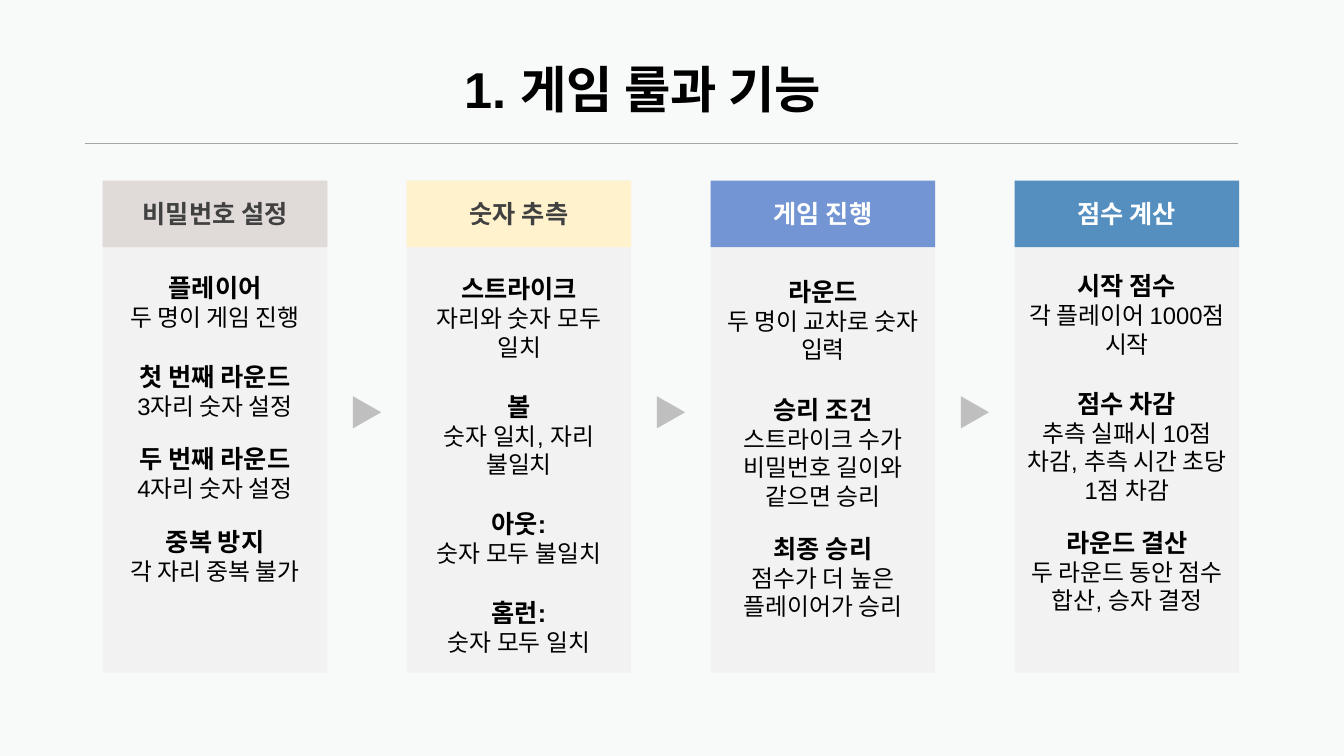
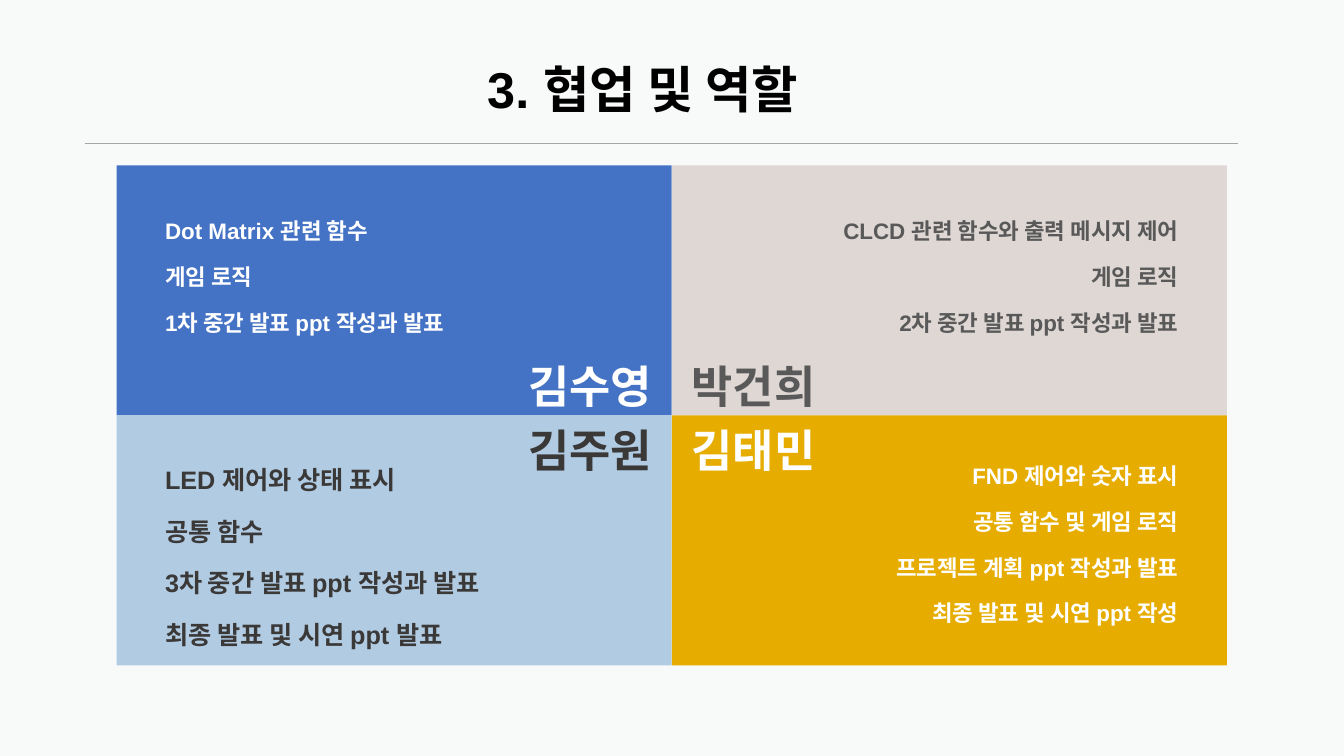
from dataclasses import dataclass

from lxml import etree
from pptx import Presentation
from pptx import util as u
from pptx.dml.color import RGBColor
from pptx.enum import shapes, text
from pptx.oxml.ns import qn
from pptx.util import Cm, Pt

# Shared style
PAPER = RGBColor(0xF8, 0xFA, 0xFA)
BLACK = RGBColor(0x00, 0x00, 0x00)
WHITE = RGBColor(0xFF, 0xFF, 0xFF)
RULE_GREY = RGBColor(0xA5, 0xA5, 0xA5)
CARD_GREY = RGBColor(0xF2, 0xF2, 0xF2)
ARROW_GREY = RGBColor(0xBF, 0xBF, 0xBF)
DARK = RGBColor(0x40, 0x40, 0x40)
MID_GREY = RGBColor(0x59, 0x59, 0x59)
CHARCOAL = RGBColor(0x3B, 0x38, 0x38)
STONE = RGBColor(0xE0, 0xDA, 0xD8)
CREAM = RGBColor(0xFF, 0xF2, 0xCC)
PERIWINKLE = RGBColor(0x73, 0x95, 0xD3)
STEEL = RGBColor(0x55, 0x8F, 0xBF)
BLUE = RGBColor(0x44, 0x72, 0xC4)
TAUPE = RGBColor(0xDE, 0xD7, 0xD4)
SKY = RGBColor(0xB0, 0xCB, 0xE2)
GOLD = RGBColor(0xE6, 0xAD, 0x00)

LATIN = "Arial"
KOREAN = "Noto Sans CJK KR"
LINE = 1.2  # line height relative to the text size
COMPARISON = 4  # layout with a title and four body placeholders

LEFT, CENTER, RIGHT = (text.PP_ALIGN.LEFT, text.PP_ALIGN.CENTER,
                       text.PP_ALIGN.RIGHT)
TOP, MIDDLE = text.MSO_ANCHOR.TOP, text.MSO_ANCHOR.MIDDLE


@dataclass(frozen=True)
class Box:
    left: float
    top: float
    width: float
    height: float

    def emu(self) -> tuple[u.Length, ...]:
        return Cm(self.left), Cm(self.top), Cm(self.width), Cm(self.height)


@dataclass(frozen=True)
class Line:
    words: str
    size: float
    color: RGBColor
    bold: bool = True
    gap: float = 0
    font: str = LATIN
    spacing: float = 1


@dataclass(frozen=True)
class Topic:
    heading: str
    detail: str
    gap: float = 0


@dataclass(frozen=True)
class Stage:
    name: str
    fill: RGBColor
    color: RGBColor
    text_top: float
    topics: tuple[Topic, ...]


@dataclass(frozen=True)
class Member:
    name: str
    fill: RGBColor
    color: RGBColor
    size: float
    duties: tuple[str, ...]
    font: str = KOREAN


WIDE, NARROW = 21.6, 16.8  # gaps between topics, in points

STAGES = (
    Stage("비밀번호 설정", STONE, DARK, 6.69, (
        Topic("플레이어", "두 명이 게임 진행"),
        Topic("첫 번째 라운드", "3자리 숫자 설정", WIDE),
        Topic("두 번째 라운드", "4자리 숫자 설정", NARROW),
        Topic("중복 방지", "각 자리 중복 불가", NARROW))),
    Stage("숫자 추측", CREAM, DARK, 6.72, (
        Topic("스트라이크", "자리와 숫자 모두 일치"),
        Topic("볼", "숫자 일치, 자리 불일치", WIDE),
        Topic("아웃:", "숫자 모두 불일치", WIDE),
        Topic("홈런:", "숫자 모두 일치", WIDE))),
    Stage("게임 진행", PERIWINKLE, WHITE, 6.79, (
        Topic("라운드", "두 명이 교차로 숫자 입력"),
        Topic("승리 조건", "스트라이크 수가 비밀번호 길이와 같으면 승리", WIDE),
        Topic("최종 승리", "점수가 더 높은 플레이어가 승리", NARROW))),
    Stage("점수 계산", STEEL, WHITE, 6.64, (
        Topic("시작 점수", "각 플레이어 1000점 시작"),
        Topic("점수 차감", "추측 실패시 10점 차감, 추측 시간 초당 1점 차감", WIDE),
        Topic("라운드 결산", "두 라운드 동안 점수 합산, 승자 결정", NARROW))),
)

MEMBERS = (
    Member("김수영", BLUE, WHITE, 16, (
        "Dot Matrix 관련 함수", "게임 로직", "1차 중간 발표 ppt 작성과 발표")),
    Member("박건희", TAUPE, MID_GREY, 16, (
        "CLCD 관련 함수와 출력 메시지 제어", "게임 로직",
        "2차 중간 발표 ppt 작성과 발표")),
    Member("김주원", SKY, CHARCOAL, 18, (
        "LED 제어와 상태 표시", "공통 함수", "3차 중간 발표 ppt 작성과 발표",
        "최종 발표 및 시연 ppt 발표"), LATIN),
    Member("김태민", GOLD, WHITE, 16, (
        "FND 제어와 숫자 표시", "공통 함수 및 게임 로직",
        "프로젝트 계획 ppt 작성과 발표", "최종 발표 및 시연 ppt 작성")),
)


def write(shape, lines: list[Line], align, anchor=TOP) -> None:
    """Fill a shape with one formatted paragraph per line."""
    frame = shape.text_frame
    frame.word_wrap = True
    frame.auto_size = text.MSO_AUTO_SIZE.NONE
    frame.vertical_anchor = anchor
    frame.margin_left = frame.margin_right = Cm(0.25)
    frame.margin_top = Pt(5) if anchor == TOP else Cm(0.13)
    frame.margin_bottom = Cm(0.13)
    frame.text = "\n".join(line.words for line in lines)
    for paragraph, line in zip(frame.paragraphs, lines):
        paragraph.alignment = align
        paragraph.line_spacing = Pt(line.size * LINE * line.spacing)
        paragraph.space_before, paragraph.space_after = Pt(line.gap), Pt(0)
        for run in paragraph.runs:
            font = run.font
            font.name, font.size, font.bold = line.font, Pt(line.size), line.bold
            font.color.rgb = line.color
            # Korean glyphs take the East Asian font
            east_asian = etree.Element(qn("a:ea"), typeface=KOREAN)
            run._r.rPr.find(qn("a:latin")).addnext(east_asian)


def place(shape, box: Box) -> None:
    shape.left, shape.top, shape.width, shape.height = box.emu()


def add_block(slide, box: Box, fill: RGBColor,
              kind=shapes.MSO_SHAPE.RECTANGLE):
    block = slide.shapes.add_shape(kind, *box.emu())
    block.shadow.inherit = False
    block.fill.solid()
    block.fill.fore_color.rgb = fill
    block.line.fill.background()
    return block


def fill_body(slide, index: int, box: Box, lines: list[Line], align) -> None:
    """Place a body placeholder in front, without bullets."""
    body = slide.placeholders[index]
    place(body, box)
    write(body, lines, align)
    for paragraph in body.text_frame.paragraphs:
        properties = paragraph._p.get_or_add_pPr()
        properties.set("marL", "0")
        properties.set("indent", "0")
        etree.SubElement(properties, qn("a:buNone"))
    body.element.getparent().append(body.element)


def add_titled_slide(deck, heading: str):
    slide = deck.slides.add_slide(deck.slide_layouts[COMPARISON])
    place(slide.shapes.title, Box(1.83, 1.22, 28.73, 2.16))
    write(slide.shapes.title, [Line(heading, 36, BLACK, spacing=0.9)],
          CENTER, MIDDLE)
    rule = slide.shapes.add_connector(
        shapes.MSO_CONNECTOR.STRAIGHT, Cm(2.13), Cm(3.61), Cm(31.19), Cm(3.61))
    rule.line.color.rgb = RULE_GREY
    rule.line.width = Pt(1)
    etree.SubElement(rule._element.spPr, qn("a:effectLst"))
    return slide


def build_rules(deck) -> None:
    slide = add_titled_slide(deck, "1. 게임 룰과 기능")
    left, top, width, height = 2.59, 4.55, 5.66, 12.4
    header_height, pitch = 1.68, 7.66
    arrow_width, arrow_height, arrow_middle = 0.81, 0.71, 10.39
    for index, stage in enumerate(STAGES):
        x = left + index * pitch
        # Card and its header
        add_block(slide, Box(x, top, width, height), CARD_GREY)
        header = add_block(slide, Box(x, top, width, header_height), stage.fill)
        write(header, [Line(stage.name, 18, stage.color, font=KOREAN)],
              CENTER, MIDDLE)
        # Topics
        lines = []
        for topic in stage.topics:
            lines += [Line(topic.heading, 18, BLACK, gap=topic.gap),
                      Line(topic.detail, 17, BLACK, bold=False)]
        fill_body(slide, index + 1,
                  Box(x, stage.text_top, width, top + height - stage.text_top),
                  lines, CENTER)
        # Arrow in the gap before this card
        if index:
            middle = x - (pitch - width) / 2
            arrow = add_block(
                slide, Box(middle - arrow_width / 2,
                           arrow_middle - arrow_height / 2,
                           arrow_width, arrow_height),
                ARROW_GREY, shapes.MSO_SHAPE.ISOSCELES_TRIANGLE)
            arrow.rotation = 90


def build_roles(deck) -> None:
    slide = add_titled_slide(deck, "3. 협업 및 역할")
    left, top, width, height = 2.94, 4.17, 13.99, 6.3
    inset, name_gap, name_width, name_height = 0.97, 0.25, 4.37, 1.6
    center_x, center_y = left + width, top + height
    for index, member in enumerate(MEMBERS):
        row, column = divmod(index, 2)
        x, y = left + column * width, top + row * height
        add_block(slide, Box(x, y, width, height), member.fill)
        # Duties align to the outer edge
        duties = [Line(duty, member.size, member.color, spacing=1.7)
                  for duty in member.duties]
        fill_body(slide, index + 1,
                  Box(x + inset, y + (0.53 if row else 0.66),
                      width - 2 * inset, 5.3),
                  duties, RIGHT if column else LEFT)
        # Names meet around the centre
        name_x = center_x + (name_gap if column else -name_gap - name_width)
        name_y = center_y - (0 if row else name_height)
        name = slide.shapes.add_textbox(
            *Box(name_x, name_y, name_width, name_height).emu())
        write(name, [Line(member.name, 32, member.color, font=member.font)],
              LEFT if column else RIGHT)


def main() -> None:
    deck = Presentation()
    deck.slide_width, deck.slide_height = Cm(33.87), Cm(19.05)
    background = deck.slide_master.background.fill
    background.solid()
    background.fore_color.rgb = PAPER
    build_rules(deck)
    build_roles(deck)
    deck.save("out.pptx")


if __name__ == "__main__":
    main()
